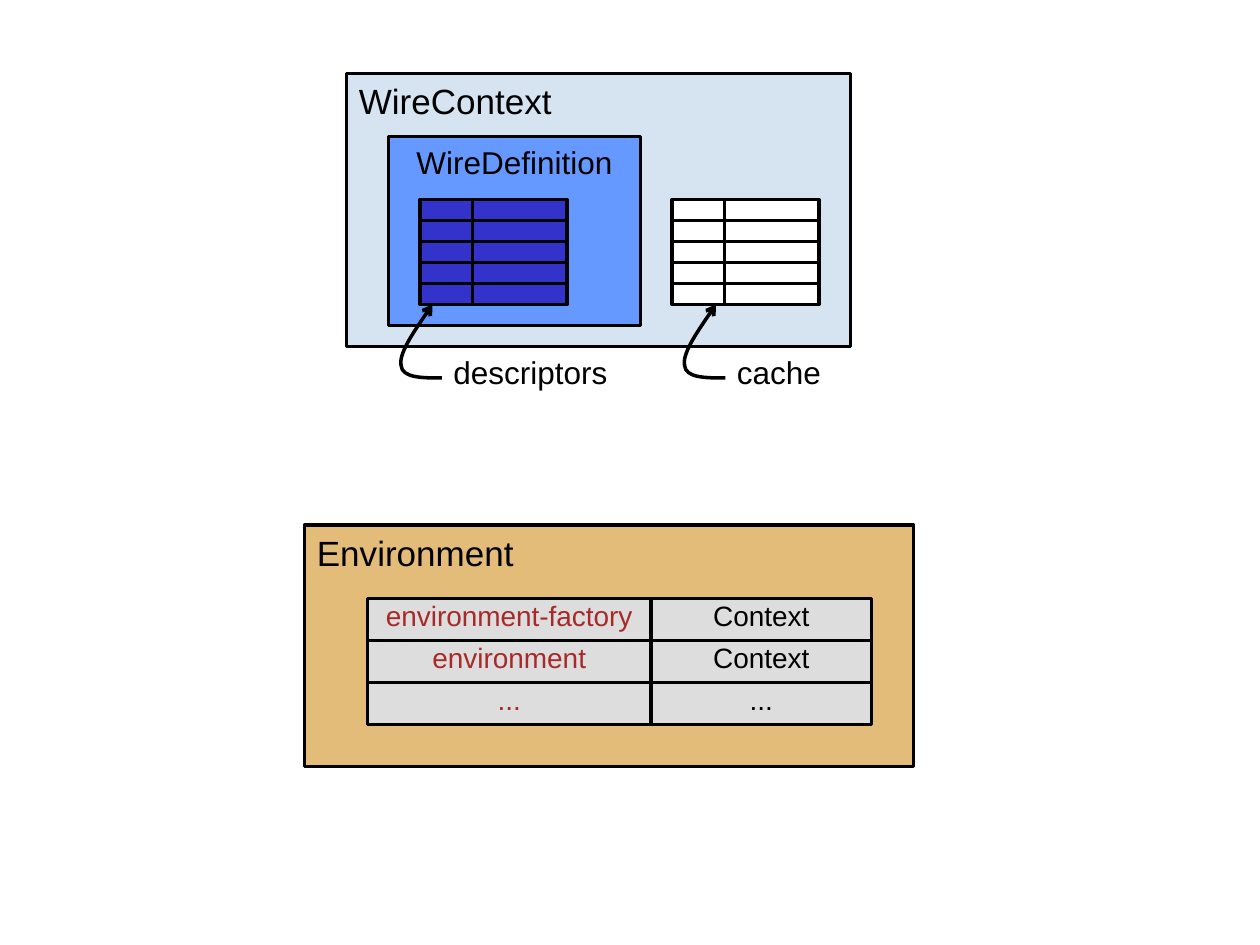
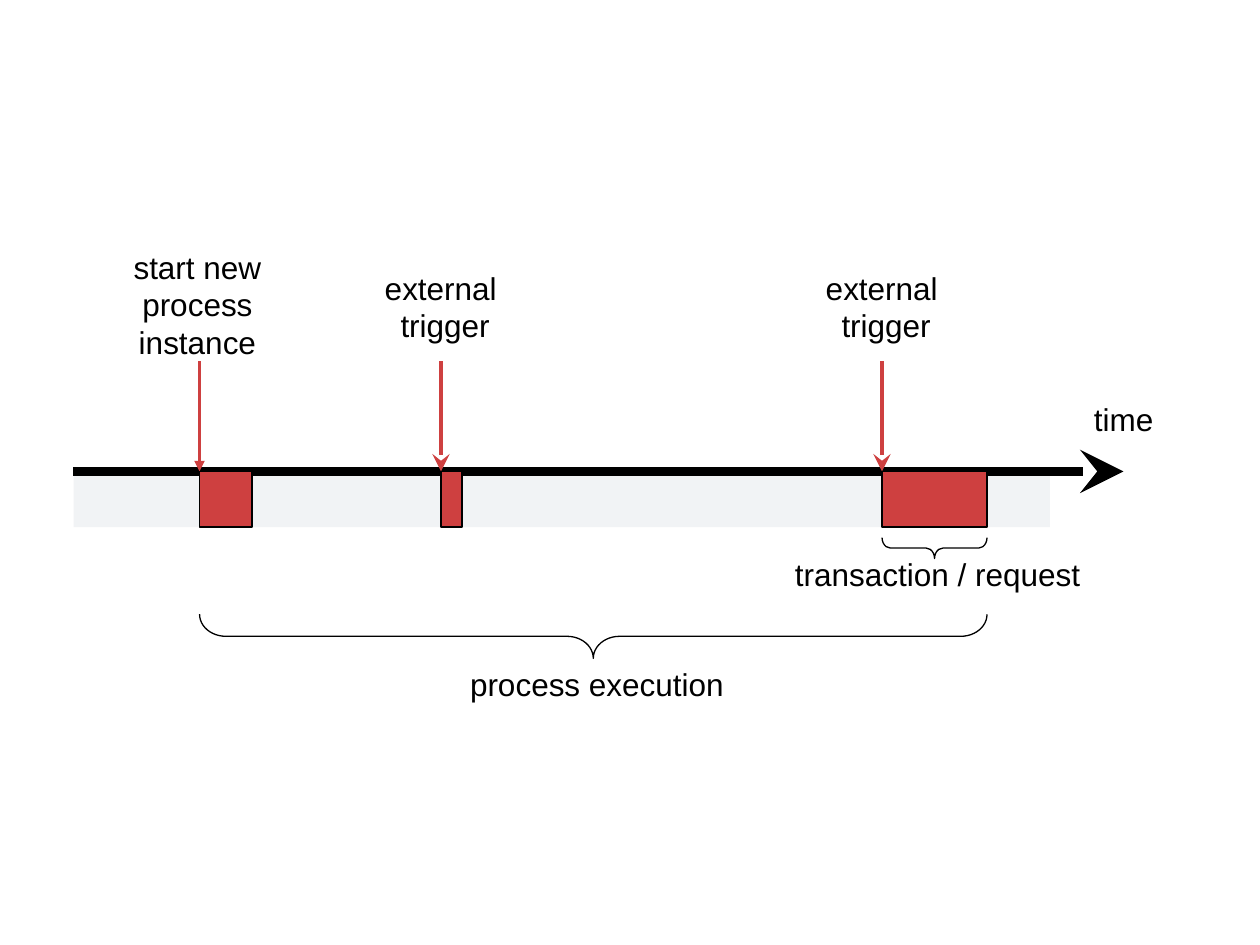
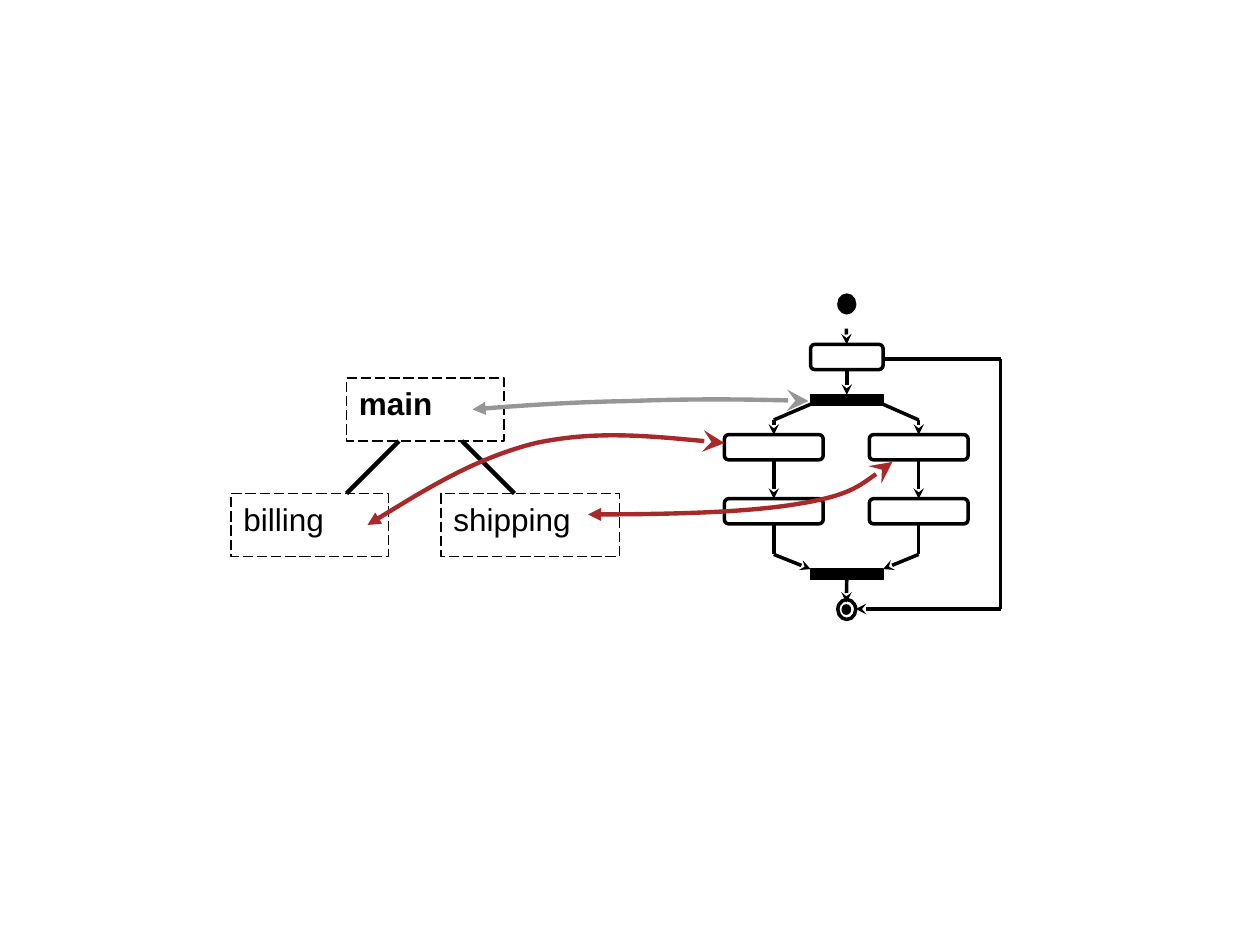
import pptx
import pptx.dml.color
import pptx.enum.dml
import pptx.enum.shapes
import pptx.enum.text
import pptx.oxml.ns
import pptx.util
from lxml import etree

PX = 7620  # EMU per px, 120 px to the inch
FORM = pptx.enum.shapes.MSO_SHAPE
ALIGN = pptx.enum.text.PP_ALIGN
qn = pptx.oxml.ns.qn


class Theme:
    font = "Arial"
    head, body, cell = 20, 18, 16
    thin, line, bold, axis = 0.75, 2, 2.5, 5
    black, white, gray = "000000", "FFFFFF", "969696"
    pale, blue, navy = "D6E4F2", "6699FF", "3333CC"
    sand, ash, band = "E4BC7A", "DDDDDD", "F1F3F5"
    red, brick = "CE4040", "A62A2A"


def box(slide, form, x, y, w, h, fill=None, line=None, text="", size=Theme.body,
        hue=Theme.black, align=ALIGN.LEFT, wrap=False, pad=True):
    """Add a shape, or a text box when form is None."""
    area = [n * PX for n in (x, y, w, h)]
    if form is None:
        item = slide.shapes.add_textbox(*area)
        item.text_frame.auto_size = pptx.enum.text.MSO_AUTO_SIZE.SHAPE_TO_FIT_TEXT
    else:
        item = slide.shapes.add_shape(form, *area)
        item.shadow.inherit = False
        if fill:
            item.fill.solid()
            item.fill.fore_color.rgb = pptx.dml.color.RGBColor.from_string(fill)
        else:
            item.fill.background()
        if line:
            item.line.width = pptx.util.Pt(line)
            item.line.color.rgb = pptx.dml.color.RGBColor.from_string(Theme.black)
        else:
            item.line.fill.background()
    if text:
        frame = item.text_frame
        frame.text = text
        frame.word_wrap = wrap
        frame.vertical_anchor = pptx.enum.text.MSO_ANCHOR.TOP
        if not pad:
            frame.margin_left = frame.margin_right = 0
            frame.margin_top = frame.margin_bottom = 0
        for para in frame.paragraphs:
            para.alignment = align
            para.font.name = Theme.font
            para.font.size = pptx.util.Pt(size)
            para.font.color.rgb = pptx.dml.color.RGBColor.from_string(hue)
    return item


def stroke(slide, spots, hue=Theme.black, width=Theme.line, head=None, tail=None,
           size="med"):
    """Add a straight connector for two spots, else a chain of Bezier curves."""
    if len(spots) == 2:
        ends = [n * PX for spot in spots for n in spot]
        item = slide.shapes.add_connector(
            pptx.enum.shapes.MSO_CONNECTOR.STRAIGHT, *ends)
    else:
        pen = slide.shapes.build_freeform(*spots[0], scale=PX)
        pen.add_line_segments(spots[1:], close=False)
        item = pen.convert_to_shape()
        item.fill.background()
        track = item.element.find(".//" + qn("a:path"))
        legs = track.findall(qn("a:lnTo"))
        for i in range(0, len(legs), 3):
            curve = etree.SubElement(track, qn("a:cubicBezTo"))
            for leg in legs[i:i + 3]:
                curve.append(leg[0])
                track.remove(leg)
    item.line.width = pptx.util.Pt(width)
    item.line.color.rgb = pptx.dml.color.RGBColor.from_string(hue)
    props = item.element.spPr
    for tag, tip, scale in (("a:headEnd", head, "med"), ("a:tailEnd", tail, size)):
        if tip:
            etree.SubElement(props.find(qn("a:ln")), qn(tag), type=tip, w=scale, len=scale)
    etree.SubElement(props, qn("a:effectLst"))
    return item


deck = pptx.Presentation()
deck.slide_width, deck.slide_height = 1200 * PX, 900 * PX
wire, time, flow = [deck.slides.add_slide(deck.slide_layouts[6]) for _ in range(3)]

# Slide 1: wire context with its two maps
box(wire, FORM.RECTANGLE, 330, 70, 480, 260, Theme.pale, Theme.line,
    "WireContext", Theme.head, wrap=True)
box(wire, FORM.RECTANGLE, 370, 130, 240, 180, Theme.blue, Theme.line,
    "WireDefinition", align=ALIGN.CENTER)
for left, fill in ((400, Theme.navy), (640, Theme.white)):
    for top in range(190, 290, 20):
        box(wire, FORM.RECTANGLE, left, top, 140, 20, fill, Theme.line)
        stroke(wire, [(left + 50, top), (left + 50, top + 20)])
for left, name, wide in ((420, "descriptors", 174), (690, "cache", 107)):
    box(wire, None, left, 330, wide, 48, text=name)
    curve = [(1, 360), (-18, 360), (-37, 360), (-38, 348),
             (-40, 337), (-24, 313), (-8, 290)]
    stroke(wire, [(left + x, y) for x, y in curve], tail="arrow")

# Slide 1: environment and its entries
box(wire, FORM.RECTANGLE, 290, 500, 580, 230, Theme.sand, Theme.line,
    "Environment", Theme.head, wrap=True)
pairs = [("environment-factory", "Context"), ("environment", "Context"), ("...", "...")]
for row, pair in enumerate(pairs):
    for text, left, wide, hue in zip(pair, (350, 620), (270, 210),
                                     (Theme.brick, Theme.black)):
        box(wire, FORM.RECTANGLE, left, 570 + 40 * row, wide, 40, Theme.ash, Theme.line,
            text, Theme.cell, hue, ALIGN.CENTER, wrap=True, pad=False)

# Slide 2: time axis
axis = 449
box(time, FORM.RECTANGLE, 70, axis, 930, 53, Theme.band)
stroke(time, [(70, axis), (1070, axis)], width=Theme.axis, tail="stealth", size="lg")
box(time, None, 1030, 375, 86, 48, text="time")

# Slide 2: triggers and the work that each one starts
start, ask = "start new\nprocess\ninstance", "external \ntrigger"
for x, work, tip, size, text, area in (
        (190, 50, "triangle", "med", start, (113, 230, 150, 120)),
        (420, 20, "stealth", "lg", ask, (352, 250, 144, 84)),
        (840, 100, "stealth", "lg", ask, (772, 250, 144, 84))):
    stroke(time, [(x, 344), (x, axis)], Theme.red, tail=tip, size=size)
    box(time, None, *area, text=text, align=ALIGN.CENTER)
    box(time, FORM.RECTANGLE, x, axis, work, 53, Theme.red, Theme.thin)

# Slide 2: braces, upright shapes turned about their centre
for left, top, span, deep, bend in ((840, 512, 100, 20, 8), (190, 585, 750, 42, 25)):
    brace = box(time, FORM.RIGHT_BRACE, left + (span - deep) // 2,
                top - (span - deep) // 2, deep, span, line=Theme.thin)
    brace.adjustments[0] = bend / deep
    brace.rotation = 90
box(time, None, 743, 523, 300, 48, text="transaction / request", align=ALIGN.CENTER)
box(time, None, 340, 627, 457, 48, text="process execution", align=ALIGN.CENTER, wrap=True)

# Slide 3: start, first state, fork, join and end
mid = 806
box(flow, FORM.OVAL, 798, 280, 17, 19, Theme.black, Theme.thin)
first = box(flow, FORM.ROUNDED_RECTANGLE, 772, 328, 69, 24, line=Theme.line)
fork, join = [box(flow, FORM.RECTANGLE, 772, top, 69, 10, Theme.black, Theme.thin)
              for top in (376, 542)]
box(flow, FORM.OVAL, 798, 571, 17, 19, line=Theme.line)
box(flow, FORM.OVAL, 802, 576, 8, 9, Theme.black, Theme.thin)
stroke(flow, [(mid, 313), (mid, 328)], tail="stealth").end_connect(first, 0)
link = stroke(flow, [(mid, 352), (mid, 376)], tail="stealth")
link.begin_connect(first, 2)
link.end_connect(fork, 0)
stroke(flow, [(mid, 552), (mid, 574)], tail="stealth").begin_connect(join, 2)

# Slide 3: the two branches
for left, side in ((690, 772), (828, 841)):
    x = left + 47
    upper, lower = [box(flow, FORM.ROUNDED_RECTANGLE, left, top, 94, 24, line=Theme.line)
                    for top in (414, 475)]
    stroke(flow, [(side, 385), (x, 400)])
    stroke(flow, [(x, 400), (x, 414)], tail="stealth").end_connect(upper, 0)
    link = stroke(flow, [(x, 438), (x, 475)], tail="stealth")
    link.begin_connect(upper, 2)
    link.end_connect(lower, 0)
    stroke(flow, [(x, 499), (x, 528)]).begin_connect(lower, 2)
    stroke(flow, [(side, 542), (x, 528)], head="stealth")

# Slide 3: bypass from the first state to the end
stroke(flow, [(841, 342), (953, 342)])
stroke(flow, [(953, 342), (953, 580)])
stroke(flow, [(953, 580), (815, 580)], tail="stealth")

# Slide 3: tree of paths
for text, x, y, wide in (("main", 330, 360, 150), ("billing", 220, 470, 150),
                         ("shipping", 420, 470, 170)):
    node = box(flow, FORM.RECTANGLE, x, y, wide, 60, line=Theme.thin, text=text)
    node.line.dash_style = pptx.enum.dml.MSO_LINE.LONG_DASH
    node.text_frame.paragraphs[0].font.bold = text == "main"
for top, foot in ((380, 330), (440, 490)):
    stroke(flow, [(top, 420), (foot, 470)], width=Theme.bold)

# Slide 3: where each path stands
for hue, spots in (
        (Theme.gray, [(450, 390), (499, 386), (547, 383), (600, 382),
                      (654, 380), (712, 380), (770, 382)]),
        (Theme.brick, [(350, 500), (402, 468), (454, 436), (510, 422),
                       (566, 410), (629, 416), (690, 422)]),
        (Theme.brick, [(560, 490), (636, 490), (712, 488), (760, 480),
                       (809, 472), (829, 456), (850, 440)])):
    stroke(flow, spots, hue, Theme.bold, "triangle", "stealth", "lg")

deck.save("out.pptx")
